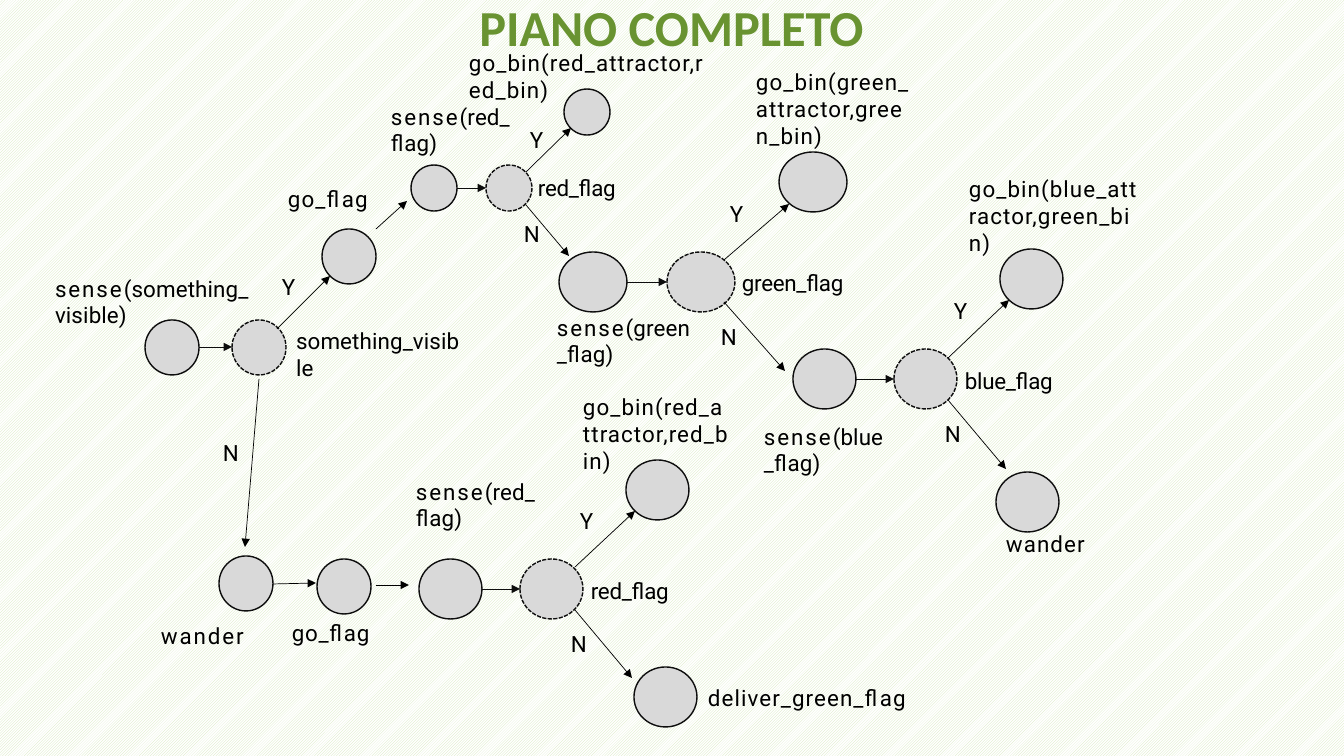
from lxml.etree import SubElement
from pptx import Presentation
from pptx.dml.color import RGBColor
from pptx.enum.dml import MSO_LINE, MSO_PATTERN
from pptx.enum.shapes import MSO_CONNECTOR, MSO_SHAPE
from pptx.enum.text import MSO_AUTO_SIZE, PP_ALIGN
from pptx.oxml.ns import qn
from pptx.util import Pt

EMU_PER_PIXEL = 914400 / 100.8


def px(*lengths):
    """Turn pixel lengths into a list of EMU."""
    return [round(length * EMU_PER_PIXEL) for length in lengths]


def color(hex_code):
    """Turn a hex string into a colour."""
    return RGBColor.from_string(hex_code)


presentation = Presentation()
presentation.slide_width, presentation.slide_height = px(1344, 756)
slide = presentation.slides.add_slide(presentation.slide_layouts[5])

background = slide.background.fill
background.patterned()
background.pattern = MSO_PATTERN.LIGHT_UPWARD_DIAGONAL
background.fore_color.rgb = color("D1E6B5")
background.back_color.rgb = color("FFFFFF")

title = slide.shapes.title
title.left, title.top, title.width, title.height = px(433, -10, 477, 72)
title.text_frame.text = "PIANO COMPLETO"
title.text_frame.auto_size = MSO_AUTO_SIZE.NONE
paragraph = title.text_frame.paragraphs[0]
paragraph.alignment = PP_ALIGN.CENTER
paragraph.font.name = "Calibri"
paragraph.font.size = Pt(36)
paragraph.font.bold = True
paragraph.font.color.rgb = color("699331")

# Sensing steps: sense left, decision left, top, width, height
sensing_steps = [
    (145, 232, 320, 54, 55),
    (411, 486, 165, 46, 46),
    (559, 667, 252, 68, 60),
    (793, 894, 349, 63, 60),
    (419, 520, 559, 63, 60),
]

# Action circles: left, top, width, height
actions = [
    (322, 229, 54, 55), (219, 556, 54, 55), (317, 559, 54, 55),
    (564, 89, 46, 46), (779, 152, 68, 60), (1000, 249, 63, 60),
    (996, 472, 63, 60), (626, 460, 63, 60), (634, 667, 63, 60),
]

# Branch and sequence arrows: start x, start y, end x, end y
arrows = [
    (277, 329, 330, 276, "000000"), (259, 379, 245, 547, "000000"),
    (376, 229, 407, 201, "000000"), (273, 584, 316, 583, "000000"),
    (376, 585, 409, 585, "000000"), (526, 172, 571, 128, "000000"),
    (526, 205, 569, 256, "000000"), (724, 260, 789, 204, "000000"),
    (724, 302, 785, 371, "000000"), (948, 358, 1009, 300, "000000"),
    (948, 400, 1006, 469, "000000"), (575, 567, 635, 511, "000000"),
    (575, 610, 632, 678, "000000"),
]

circles = [(*box, MSO_LINE.SOLID) for box in actions]
for sense_left, decision_left, top, width, height in sensing_steps:
    circles.append((sense_left, top, width, height, MSO_LINE.SOLID))
    circles.append((decision_left, top, width, height, MSO_LINE.SQUARE_DOT))
    middle = top + height // 2
    arrows.append((sense_left + width, middle, decision_left, middle, "0D0D0D"))

for *box, dash in circles:
    circle = slide.shapes.add_shape(MSO_SHAPE.FLOWCHART_CONNECTOR, *px(*box))
    circle.shadow.inherit = False
    circle.fill.solid()
    circle.fill.fore_color.rgb = color("D9D9D9")
    circle.line.color.rgb = color("0D0D0D")
    circle.line.width = Pt(1)
    circle.line.dash_style = dash
    if dash == MSO_LINE.SQUARE_DOT:
        circle.line._ln.find(qn("a:prstDash")).set("val", "sysDash")

for *ends, line_color in arrows:
    arrow = slide.shapes.add_connector(MSO_CONNECTOR.STRAIGHT, *px(*ends))
    arrow.line.color.rgb = color(line_color)
    arrow.line.width = Pt(0.5)
    SubElement(arrow.line._ln, qn("a:tailEnd"), type="triangle")
    SubElement(arrow._element.spPr, qn("a:effectLst"))

# Labels: left, top, width, height, letter spacing in hundredths of a point, text
labels = [
    (54, 275, 196, 72, 140, "sense(something_visible)"),
    (390, 103, 125, 54, 140, "sense(red_flag)"),
    (556, 314, 137, 54, 140, "sense(green_flag)"),
    (763, 423, 128, 54, 140, "sense(blue_flag)"),
    (415, 478, 128, 54, 140, "sense(red_flag)"),
    (160, 622, 110, 26, 140, "wander"),
    (287, 184, 102, 37, 80, "go_flag"),
    (291, 618, 116, 27, 50, "go_flag"),
    (468, 48, 246, 55, 80, "go_bin(red_attractor,red_bin)"),
    (755, 67, 159, 83, 80, "go_bin(green_attractor,green_bin)"),
    (968, 174, 172, 83, 80, "go_bin(blue_attractor,green_bin)"),
    (582, 392, 149, 83, 80, "go_bin(red_attractor,red_bin)"),
    (1005, 529, 128, 29, 80, "wander"),
    (707, 683, 238, 29, 80, "deliver_green_flag"),
    (295, 326, 169, 26, 10, "something_visible"),
    (537, 173, 100, 22, -20, "red_flag"),
    (741, 268, 144, 29, -20, "green_flag"),
    (964, 366, 135, 29, -20, "blue_flag"),
    (590, 576, 135, 29, -20, "red_flag"),
]

# Branch answers: Y left, Y top, N left, N top
answers = [
    (281, 272, 222, 438),
    (529, 125, 523, 219),
    (729, 199, 720, 322),
    (953, 296, 944, 419),
    (579, 506, 570, 629),
]
for yes_left, yes_top, no_left, no_top in answers:
    labels.append((yes_left, yes_top, 12, 28, 60, "Y"))
    labels.append((no_left, no_top, 20, 28, 180, "N"))

for *box, spacing, text in labels:
    frame = slide.shapes.add_textbox(*px(*box)).text_frame
    frame.word_wrap = True
    frame.auto_size = MSO_AUTO_SIZE.SHAPE_TO_FIT_TEXT
    frame.margin_left, frame.margin_top = px(1, 1)
    frame.margin_right = frame.margin_bottom = 0
    paragraph = frame.paragraphs[0]
    paragraph.space_before = Pt(1)
    paragraph.font.name = "Roboto"
    paragraph.font.size = Pt(16)
    paragraph.font.color.rgb = color("000000")
    if spacing == 140:
        paragraph.line_spacing = 0.96
        paragraph.space_before = Pt(1.8)
        frame.margin_top = px(2)[0]
    verb, bracket, argument = text.partition("(" if spacing == 140 else "\n")
    for part, part_spacing in ((verb, spacing), (bracket + argument, 10)):
        if part:
            run = paragraph.add_run()
            run.text = part
            run.font._element.set("spc", str(part_spacing))

presentation.save("out.pptx")
